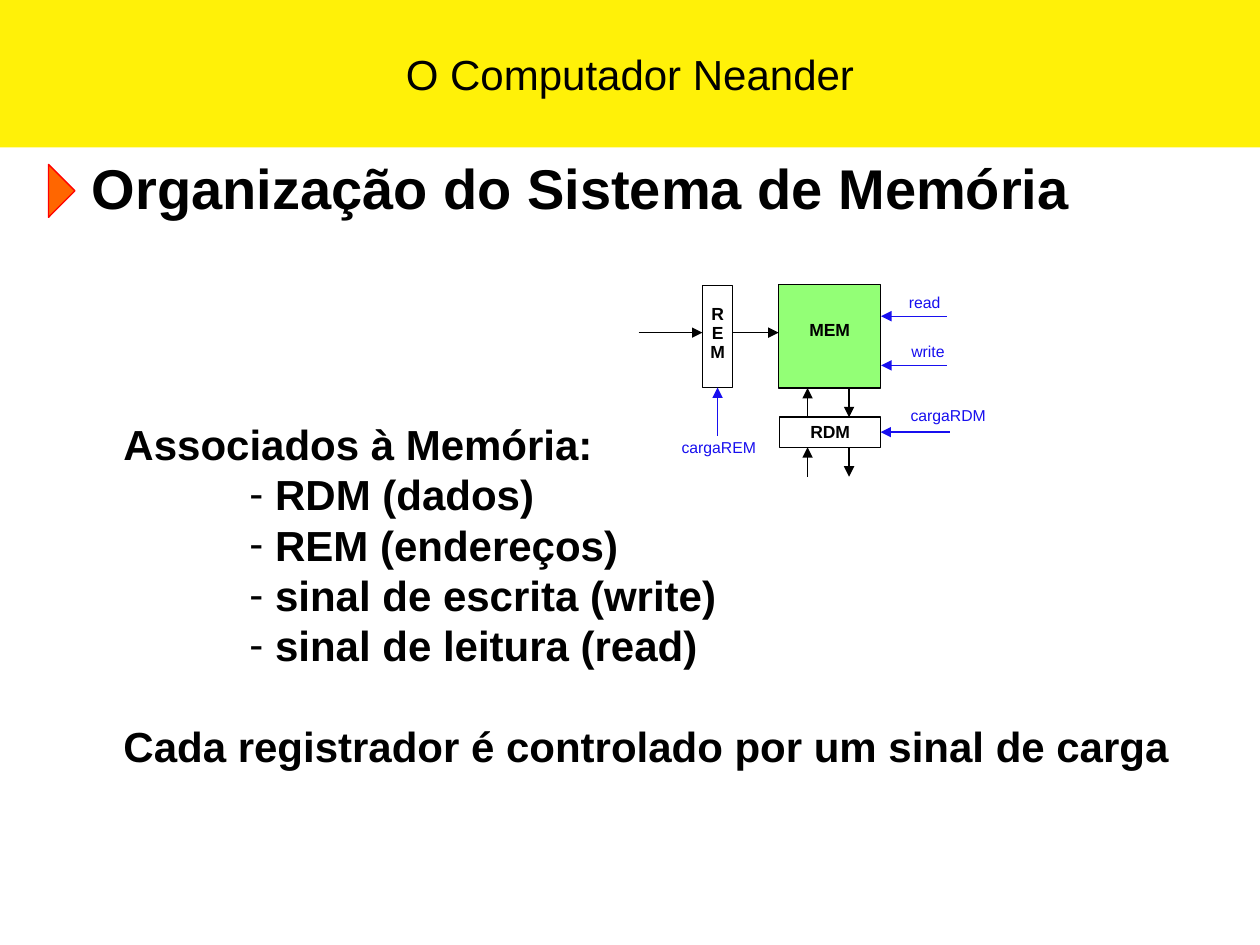
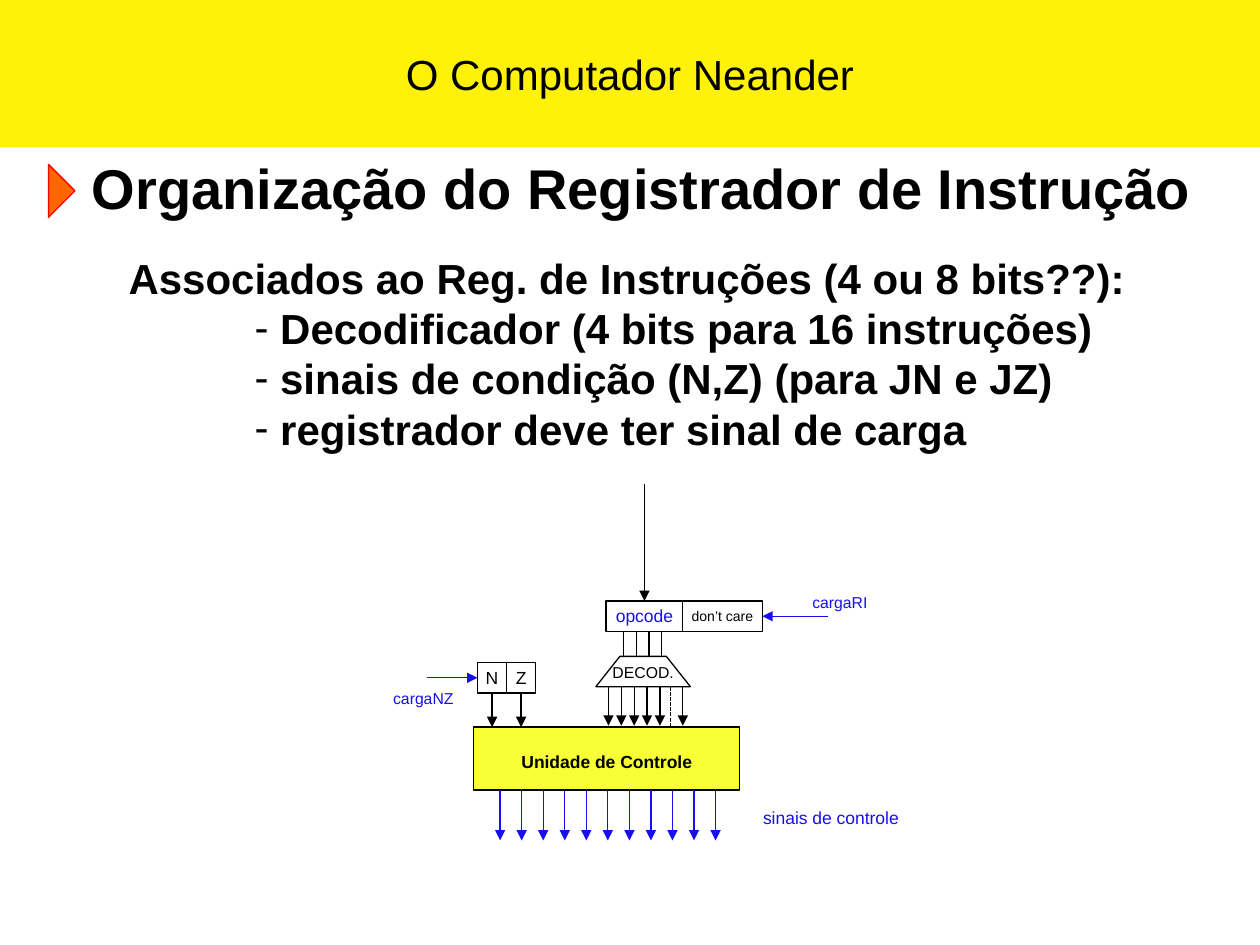
from dataclasses import dataclass
from typing import Any

from lxml import etree
from pptx import Presentation
from pptx.dml.color import RGBColor
from pptx.enum.dml import MSO_LINE
from pptx.enum.shapes import MSO_CONNECTOR, MSO_SHAPE
from pptx.enum.text import MSO_ANCHOR, MSO_AUTO_SIZE, PP_ALIGN
from pptx.oxml.ns import qn
from pptx.util import Pt

RECTANGLE, TRIANGLE = MSO_SHAPE.RECTANGLE, MSO_SHAPE.ISOSCELES_TRIANGLE
STRAIGHT = MSO_CONNECTOR.STRAIGHT
DASHED = MSO_LINE.SQUARE_DOT
TOP, MIDDLE = MSO_ANCHOR.TOP, MSO_ANCHOR.MIDDLE
LEFT, CENTER = PP_ALIGN.LEFT, PP_ALIGN.CENTER
NO_AUTOFIT = MSO_AUTO_SIZE.NONE
SIDE_TOP, SIDE_LEFT, SIDE_BOTTOM, SIDE_RIGHT = range(4)

FONT = "Arial"
BLACK, BLUE = "000000", "180FEF"
BAND_YELLOW, UNIT_YELLOW, MEMORY_GREEN = "FFF108", "F9FF36", "93FF76"
MARKER_ORANGE, MARKER_RED = "FF6600", "FF0000"
LINE_WIDTH = 0.75
ITEM_LEFT, DASH_WIDTH = 72, 14.66


def rgb(value):
    return RGBColor.from_string(value)


def points(*values):
    return [Pt(value) for value in values]


def paint(shape, fill=None, line=None):
    shape.shadow.inherit = False
    if fill:
        shape.fill.solid()
        shape.fill.fore_color.rgb = rgb(fill)
    else:
        shape.fill.background()
    if line:
        shape.line.color.rgb = rgb(line)
        shape.line.width = Pt(LINE_WIDTH)
    else:
        shape.line.fill.background()


def format_para(para, size, color=BLACK, bold=False, align=LEFT, spacing=1.0):
    para.alignment = align
    para.line_spacing = spacing
    for span in para.runs:
        span.font.name = FONT
        span.font.size = Pt(size)
        span.font.bold = bold
        span.font.color.rgb = rgb(color)


def set_frame(frame, anchor=TOP, wrap=True, side=7.2, top=3.6):
    frame.auto_size = NO_AUTOFIT
    frame.word_wrap = wrap
    frame.vertical_anchor = anchor
    frame.margin_left = frame.margin_right = Pt(side)
    frame.margin_top, frame.margin_bottom = points(top, 3.6)


def write_caption(shape, text, size, color, bold=False, top=3.6):
    frame = shape.text_frame
    frame.text = text
    set_frame(frame, wrap=False, side=3.6, top=top)
    for para in frame.paragraphs:
        format_para(para, size, color, bold, CENTER, 0.9)


@dataclass
class Diagram:
    page: Any
    left: float
    top: float

    def spot(self, x, y):
        return points(self.left + x, self.top + y)

    def block(self, x, y, width, height, text, size=10, color=BLACK,
              bold=False, fill=None, inset=3.6):
        box = self.page.shapes.add_shape(
            RECTANGLE, *self.spot(x, y), *points(width, height))
        paint(box, fill, BLACK)
        write_caption(box, text, size, color, bold, inset)
        return box

    def label(self, x, y, width, height, text, size=9):
        box = self.page.shapes.add_textbox(
            *self.spot(x, y), *points(width, height))
        write_caption(box, text, size, BLUE)

    def wire(self, start, end, color=BLACK, head=True, begin=None, finish=None):
        link = self.page.shapes.add_connector(
            STRAIGHT, *self.spot(*start), *self.spot(*end))
        if begin:
            link.begin_connect(*begin)
        if finish:
            link.end_connect(*finish)
        link.line.color.rgb = rgb(color)
        link.line.width = Pt(LINE_WIDTH)
        if head:
            outline = link.line._get_or_add_ln()
            etree.SubElement(outline, qn("a:tailEnd"), type="triangle")
        etree.SubElement(link._element.spPr, qn("a:effectLst"))
        return link


def draw_band(page, width):
    band = page.shapes.add_shape(RECTANGLE, 0, 0, width, Pt(84.24))
    paint(band, BAND_YELLOW)
    band.text_frame.text = "O Computador Neander"
    set_frame(band.text_frame, MIDDLE)
    format_para(band.text_frame.paragraphs[0], 24, align=CENTER)


def draw_heading(page, text):
    marker = page.shapes.add_shape(TRIANGLE, *points(20.16, 101.5, 30.24, 15.1))
    marker.rotation = 90
    paint(marker, MARKER_ORANGE, MARKER_RED)
    title = page.shapes.title
    title.left, title.top, title.width, title.height = points(
        45.36, 84.24, 655.2, 46.1)
    title.text_frame.text = text
    set_frame(title.text_frame)
    format_para(title.text_frame.paragraphs[0], 32, bold=True)


def write_list(page, box, lead, items, closing=None):
    body = page.placeholders[1]
    body.left, body.top, body.width, body.height = points(*box)
    frame = body.text_frame
    frame.text = "\n".join([lead, *items] + ([closing] if closing else []))
    set_frame(frame)
    for para in frame.paragraphs:
        is_item = para.text in items
        format_para(para, 24, bold=True)
        para.space_before = Pt(28.8 if para.text == closing else 0)
        properties = para._p.get_or_add_pPr()
        properties.set("marL", str(Pt(ITEM_LEFT + DASH_WIDTH if is_item else 0)))
        properties.set("indent", str(Pt(-DASH_WIDTH if is_item else 0)))
        if is_item:
            etree.SubElement(properties, qn("a:buFont"), typeface=FONT)
            etree.SubElement(properties, qn("a:buChar"), char="-")
        else:
            etree.SubElement(properties, qn("a:buNone"))


def draw_memory(page, left, top):
    diagram = Diagram(page, left, top)
    rem = diagram.block(36.4, 0.4, 17.3, 58.3, "R\nE\nM", bold=True, inset=11.2)
    diagram.block(79.9, 0, 58.3, 59, "MEM", bold=True, fill=MEMORY_GREEN, inset=20.9)
    rdm = diagram.block(80.6, 75.6, 57.6, 17.3, "RDM", bold=True)

    for start, end in ((0, 36.4), (53.7, 79.9)):
        diagram.wire((start, 27.4), (end, 27.4))
    for y in (59, 92.9):
        diagram.wire((96.5, y + 16.8), (96.5, y))
        diagram.wire((120.2, y), (120.2, y + 16.8))
    for y in (18, 46.1):
        diagram.wire((175.9, y), (138.5, y), BLUE)
    diagram.wire((45.05, 86.4), (45.05, 58.7), BLUE, finish=(rem, SIDE_BOTTOM))
    diagram.wire((177.8, 84.25), (138.2, 84.25), BLUE, finish=(rdm, SIDE_RIGHT))

    diagram.label(152.6, 2.2, 21.6, 17.3, "read")
    diagram.label(150.5, 30.2, 29.5, 15.8, "write")
    diagram.label(149.8, 67, 54, 16.6, "cargaRDM")
    diagram.label(18.7, 85, 54, 16.6, "cargaREM")


def draw_decoder(diagram, x, y, width, height, inset):
    corners = [(x + width, y + height), (x + width - inset, y), (x + inset, y)]
    builder = diagram.page.shapes.build_freeform(*diagram.spot(x, y + height))
    builder.add_line_segments([diagram.spot(*corner) for corner in corners])
    decoder = builder.convert_to_shape()
    paint(decoder, line=BLACK)
    write_caption(decoder, "DECOD.", 9, BLACK, top=5)


def draw_control(page, left, top):
    diagram = Diagram(page, left, top)
    opcode = diagram.block(126, 67, 43.9, 17.3, "opcode", color=BLUE)
    unused = diagram.block(169.9, 67, 45.4, 17.3, "don’t care", size=8, inset=5)
    draw_decoder(diagram, 120.2, 98.6, 54, 17.3, 13.7)
    diagram.block(50.4, 139, 151.9, 36, "Unidade de Controle",
                  bold=True, fill=UNIT_YELLOW, inset=15)

    flags = []
    for index, name in enumerate("NZ"):
        x = 52.6 + 16.6 * index
        flag = diagram.block(x, 102.2, 16.6, 17.3, name)
        diagram.wire((x + 8.3, 119.5), (x + 8.3, 139), begin=(flag, SIDE_BOTTOM))
        flags.append(flag)

    diagram.wire((147.95, 0), (147.95, 67), finish=(opcode, SIDE_TOP))
    diagram.wire((252.7, 75.65), (215.3, 75.65), BLUE, finish=(unused, SIDE_RIGHT))
    diagram.wire((23.8, 110.85), (52.6, 110.85), BLUE, finish=(flags[0], SIDE_LEFT))
    for index in range(4):
        x = 136.1 + 7.2 * index
        diagram.wire((x, 84.3), (x, 98.6), head=False)
    for x in [127.4 + 7.35 * index for index in range(5)] + [169.9]:
        diagram.wire((x, 115.9), (x, 138.2))
    omitted = diagram.wire((162.9, 115.9), (162.9, 139), head=False)
    omitted.line.dash_style = DASHED
    for index in range(11):
        x = 65.5 + 12.31 * index
        diagram.wire((x, 175), (x, 203.8), BLUE)

    diagram.label(232.6, 59.8, 54, 16.6, "cargaRI")
    diagram.label(0, 114.5, 43.2, 14.4, "cargaNZ")
    diagram.label(199.4, 182.2, 110.2, 15.8, "sinais de controle", 10)


def add_page(deck, heading):
    page = deck.slides.add_slide(deck.slide_layouts[1])
    draw_band(page, deck.slide_width)
    draw_heading(page, heading)
    return page


def main():
    deck = Presentation()
    deck.slide_width, deck.slide_height = points(720, 540)

    memory = add_page(deck, "Organização do Sistema de Memória")
    write_list(
        memory, (63.36, 235.44, 620, 208.8), "Associados à Memória:",
        ["RDM (dados)", "REM (endereços)",
         "sinal de escrita (write)", "sinal de leitura (read)"],
        "Cada registrador é controlado por um sinal de carga")
    draw_memory(memory, 365, 162.7)

    instruction = add_page(deck, "Organização do Registrador de Instrução")
    write_list(
        instruction, (66.24, 140.4, 630, 122.4),
        "Associados ao Reg. de Instruções (4 ou 8 bits??):",
        ["Decodificador (4 bits para 16 instruções)",
         "sinais de condição (N,Z) (para JN e JZ)",
         "registrador deve ter sinal de carga"])
    draw_control(instruction, 220.3, 276.5)

    deck.save("out.pptx")


if __name__ == "__main__":
    main()
